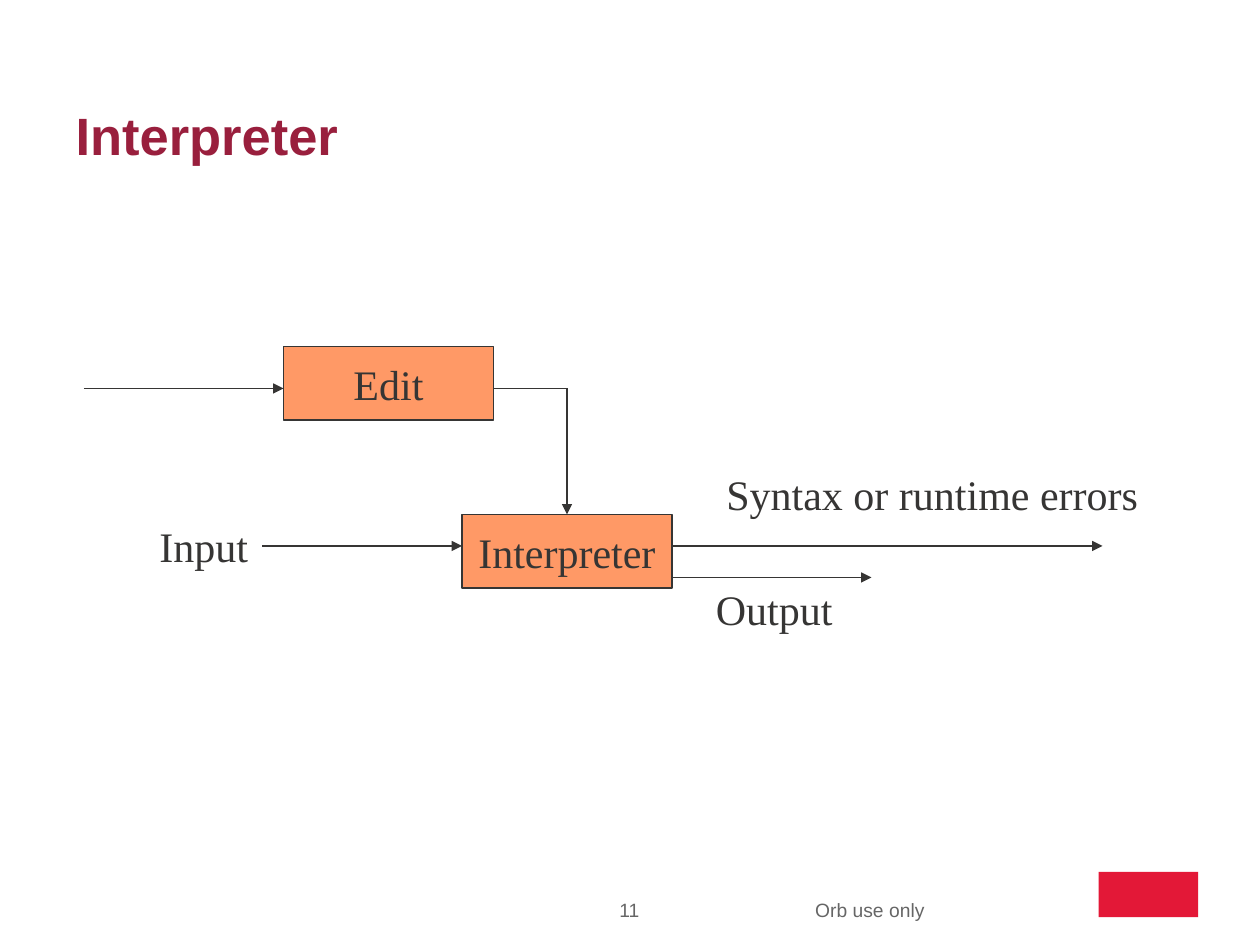
from dataclasses import dataclass

from lxml.etree import SubElement
from pptx import Presentation
from pptx.dml.color import RGBColor
from pptx.enum.shapes import MSO_CONNECTOR, MSO_SHAPE
from pptx.enum.text import MSO_ANCHOR, MSO_AUTO_SIZE, PP_ALIGN
from pptx.oxml.ns import qn
from pptx.util import Inches, Pt


@dataclass(frozen=True)
class Theme:
    """Colours, fonts and type sizes of the slide."""
    ink: str = "363534"
    box: str = "FF9966"
    heading: str = "991F3D"
    muted: str = "666666"
    brand: str = "E31837"
    sans: str = "Arial"
    serif: str = "Times New Roman"
    title_size: int = 30
    diagram_size: int = 24
    footer_size: int = 11
    line_width: float = 0.75


@dataclass(frozen=True)
class Step:
    """A processing box, placed by grid column and row."""
    name: str
    col: int
    row: int


@dataclass(frozen=True)
class Label:
    """Free text beside a flow; the width is in inches."""
    wording: str
    col: int
    row: int
    width: float


@dataclass(frozen=True)
class Flow:
    """A straight line between two grid points."""
    start: tuple[int, int]
    end: tuple[int, int]
    arrow: bool = True


THEME = Theme()
CELL = Inches(1) // 12
BOX_COLS, BOX_ROWS, LABEL_ROWS = 20, 7, 6

EDIT = Step("Edit", 27, 33)
INTERPRETER = Step("Interpreter", 44, 49)
STEPS = [EDIT, INTERPRETER]
EDIT_RIGHT = EDIT.col + BOX_COLS
INTERPRETER_RIGHT = INTERPRETER.col + BOX_COLS
INTERPRETER_MIDDLE = INTERPRETER.col + BOX_COLS // 2
SOURCE_ROW, INPUT_ROW, OUTPUT_ROW = 37, 52, 55

FLOWS = [
    Flow((INTERPRETER_MIDDLE, SOURCE_ROW), (INTERPRETER_MIDDLE, INTERPRETER.row)),
    Flow((8, SOURCE_ROW), (EDIT.col, SOURCE_ROW)),
    Flow((EDIT_RIGHT, SOURCE_ROW), (INTERPRETER_MIDDLE, SOURCE_ROW), arrow=False),
    Flow((25, INPUT_ROW), (INTERPRETER.col, INPUT_ROW)),
    Flow((INTERPRETER_RIGHT, OUTPUT_ROW), (83, OUTPUT_ROW)),
    Flow((INTERPRETER_RIGHT, INPUT_ROW), (105, INPUT_ROW)),
]
LABELS = [
    Label("Syntax or runtime errors", 68, 44, 3.48),
    Label("Input", 14, 49, 0.92),
    Label("Output", 67, 55, 1.14),
]


def write(shape, wording: str, *, font: str = THEME.serif, size: int = THEME.diagram_size,
          color: str = THEME.ink, bold: bool = False, align=PP_ALIGN.LEFT,
          anchor=MSO_ANCHOR.TOP, wrap: bool = False, inset: bool = True,
          fit=MSO_AUTO_SIZE.NONE) -> None:
    """Put formatted text into a shape."""
    frame = shape.text_frame
    frame.word_wrap, frame.auto_size, frame.vertical_anchor = wrap, fit, anchor
    if not inset:
        frame.margin_left = frame.margin_right = frame.margin_top = frame.margin_bottom = 0
    paragraph = frame.paragraphs[0]
    paragraph.alignment = align
    run = paragraph.add_run()
    run.text = wording
    run.font.name, run.font.size, run.font.bold = font, Pt(size), bold
    run.font.color.rgb = RGBColor.from_string(color)


def add_block(slide, left: int, top: int, width: int, height: int, fill: str):
    """Add a plain filled rectangle without line or shadow."""
    block = slide.shapes.add_shape(MSO_SHAPE.RECTANGLE, left, top, width, height)
    block.shadow.inherit = False
    block.fill.solid()
    block.fill.fore_color.rgb = RGBColor.from_string(fill)
    block.line.fill.background()
    return block


def style_line(line) -> None:
    """Give a line the diagram's ink and width."""
    line.color.rgb = RGBColor.from_string(THEME.ink)
    line.width = Pt(THEME.line_width)


def add_step(slide, step: Step) -> None:
    """Draw one processing box with its name."""
    box = add_block(slide, step.col * CELL, step.row * CELL,
                    BOX_COLS * CELL, BOX_ROWS * CELL, THEME.box)
    style_line(box.line)
    write(box, step.name, align=PP_ALIGN.CENTER, anchor=MSO_ANCHOR.MIDDLE)


def add_flow(slide, flow: Flow) -> None:
    """Draw one line, with an arrowhead at its end if wanted."""
    ends = [value * CELL for value in (*flow.start, *flow.end)]
    connector = slide.shapes.add_connector(MSO_CONNECTOR.STRAIGHT, *ends)
    style_line(connector.line)
    properties = connector._element.spPr
    if flow.arrow:
        SubElement(properties.find(qn("a:ln")), qn("a:tailEnd"), type="triangle")
    SubElement(properties, qn("a:effectLst"))


def add_label(slide, label: Label) -> None:
    """Place one text label on the grid."""
    area = slide.shapes.add_textbox(label.col * CELL, label.row * CELL,
                                    Inches(label.width), LABEL_ROWS * CELL)
    write(area, label.wording, fit=MSO_AUTO_SIZE.SHAPE_TO_FIT_TEXT)


def add_title(slide, wording: str) -> None:
    """Move and fill the title placeholder."""
    title = slide.shapes.title
    title.left, title.top = Inches(0.5), Inches(0.77)
    title.width, title.height = Inches(9), Inches(1.25)
    write(title, wording, font=THEME.sans, size=THEME.title_size,
          color=THEME.heading, bold=True, wrap=True)


def add_footer(slide) -> None:
    """Add the brand block, the usage note and the page number."""
    add_block(slide, Inches(8.72), Inches(6.92), Inches(0.79), Inches(0.36), THEME.brand)
    small = dict(font=THEME.sans, size=THEME.footer_size, color=THEME.muted, inset=False)
    top = Inches(7.13)
    usage = slide.shapes.add_textbox(Inches(6.47), top, Inches(1.84), Inches(0.19))
    write(usage, "Orb use only", wrap=True, fit=MSO_AUTO_SIZE.SHAPE_TO_FIT_TEXT, **small)
    page = slide.shapes.add_textbox(Inches(4.57), top, Inches(0.85), Inches(0.26))
    write(page, "11", align=PP_ALIGN.CENTER, **small)


def main() -> None:
    """Build and save the slide."""
    deck = Presentation()
    deck.slide_width, deck.slide_height = Inches(10), Inches(7.5)
    slide = deck.slides.add_slide(deck.slide_layouts[5])
    add_footer(slide)
    add_title(slide, "Interpreter")
    for step in STEPS:
        add_step(slide, step)
    for flow in FLOWS:
        add_flow(slide, flow)
    for label in LABELS:
        add_label(slide, label)
    deck.save("out.pptx")


main()
